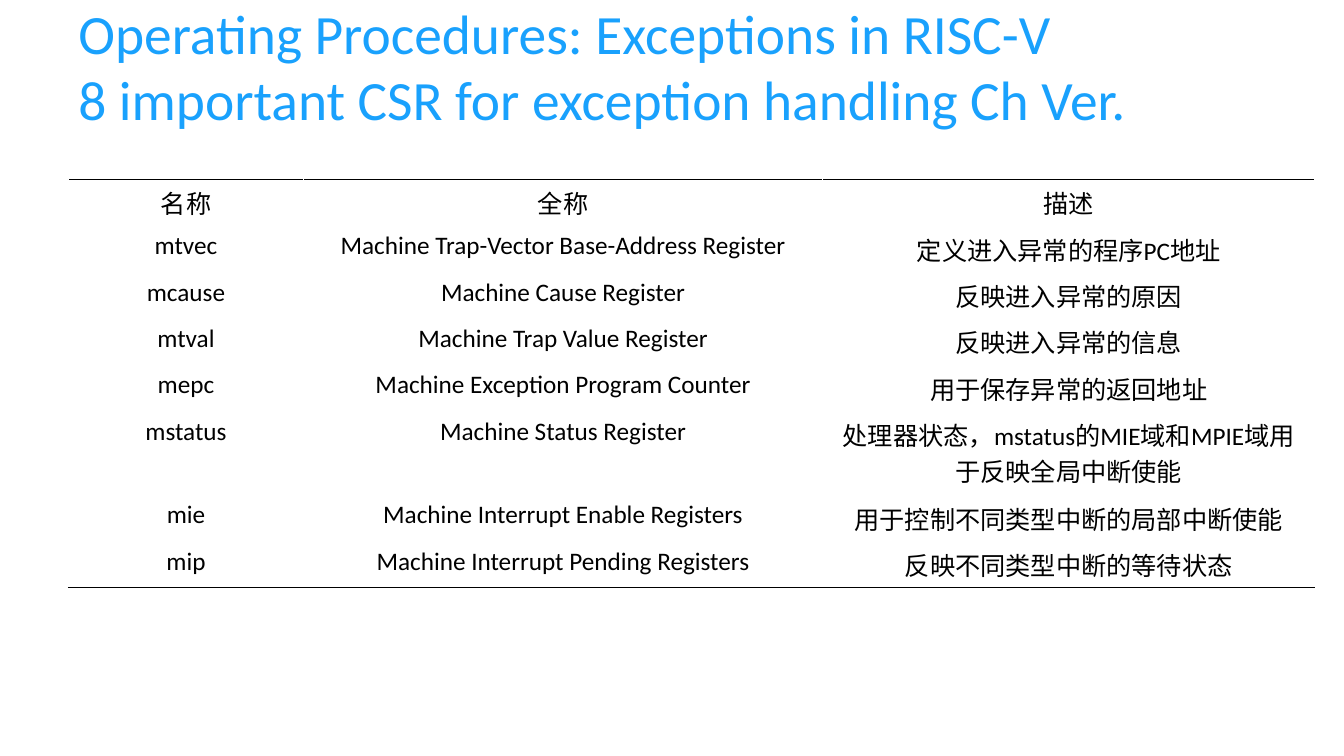
from dataclasses import dataclass

from lxml import etree
from pptx import Presentation
from pptx import util as u
from pptx.dml.color import RGBColor
from pptx.enum import text
from pptx.oxml import ns


@dataclass(frozen=True)
class Theme:
    font: str = "Calibri"
    title_color: str = "19A1FD"
    ink: str = "000000"
    paper: str = "FFFFFF"
    title_size: float = 39.6
    table_size: float = 18
    title_spacing: float = 0.99
    rule_width: float = 1
    header_rule_width: float = 3


TITLE_LINES = (
    "Operating Procedures: Exceptions in RISC-V",
    "8 important CSR for exception handling Ch Ver.",
)
REGISTERS = (
    ("名称", "全称", "描述"),
    ("mtvec", "Machine Trap-Vector Base-Address Register", "定义进入异常的程序PC地址"),
    ("mcause", "Machine Cause Register", "反映进入异常的原因"),
    ("mtval", "Machine Trap Value Register", "反映进入异常的信息"),
    ("mepc", "Machine Exception Program Counter", "用于保存异常的返回地址"),
    ("mstatus", "Machine Status Register", "处理器状态，mstatus的MIE域和MPIE域用于反映全局中断使能"),
    ("mie", "Machine Interrupt Enable Registers", "用于控制不同类型中断的局部中断使能"),
    ("mip", "Machine Interrupt Pending Registers", "反映不同类型中断的等待状态"),
)
COLUMN_WIDTHS = (2.33, 5.15, 4.88)
ROW_HEIGHT = 0.46
TWO_LINE_ROW_HEIGHT = 0.83
ROW_HEIGHTS = [
    TWO_LINE_ROW_HEIGHT if name == "mstatus" else ROW_HEIGHT
    for name, _, _ in REGISTERS
]


class SlideBuilder:
    def __init__(self, presentation, theme):
        self.theme = theme
        self.slide = presentation.slides.add_slide(presentation.slide_layouts[6])

    def set_font(self, paragraph, size, color):
        paragraph.font.name = self.theme.font
        paragraph.font.size = u.Pt(size)
        paragraph.font.color.rgb = RGBColor.from_string(color)

    def add_title(self, lines, left, top, width, height):
        box = self.slide.shapes.add_textbox(*map(u.Inches, (left, top, width, height)))
        frame = box.text_frame
        frame.word_wrap = True
        frame.vertical_anchor = text.MSO_ANCHOR.MIDDLE
        paragraph = frame.paragraphs[0]
        paragraph.line_spacing = self.theme.title_spacing
        for index, line in enumerate(lines):
            if index:
                paragraph.add_line_break()
            paragraph.add_run().text = line
        self.set_font(paragraph, self.theme.title_size, self.theme.title_color)

    def set_borders(self, cell, is_first, is_last):
        """Rule the table in ink above the first row and below the last only."""
        theme = self.theme
        borders = {
            "L": (theme.paper, theme.rule_width),
            "R": (theme.paper, theme.rule_width),
            "T": (theme.ink if is_first else theme.paper, theme.rule_width),
            "B": (theme.ink if is_last else theme.paper,
                  theme.header_rule_width if is_first else theme.rule_width),
        }
        properties = cell._tc.get_or_add_tcPr()
        for index, (side, (color, width)) in enumerate(borders.items()):
            line = etree.Element(ns.qn(f"a:ln{side}"), w=str(u.Pt(width)))
            fill = etree.SubElement(line, ns.qn("a:solidFill"))
            etree.SubElement(fill, ns.qn("a:srgbClr"), val=color)
            properties.insert(index, line)

    def add_table(self, rows, left, top, column_widths, row_heights):
        table = self.slide.shapes.add_table(
            len(rows), len(column_widths), u.Inches(left), u.Inches(top),
            u.Inches(sum(column_widths)), u.Inches(sum(row_heights)),
        ).table
        table.first_row = table.horz_banding = False
        for column, width in zip(table.columns, column_widths):
            column.width = u.Inches(width)
        for row, height in zip(table.rows, row_heights):
            row.height = u.Inches(height)
        for row_index, values in enumerate(rows):
            for column_index, value in enumerate(values):
                cell = table.cell(row_index, column_index)
                cell.text = value
                cell.fill.background()
                paragraph = cell.text_frame.paragraphs[0]
                paragraph.alignment = text.PP_ALIGN.CENTER
                self.set_font(paragraph, self.theme.table_size, self.theme.ink)
                self.set_borders(cell, row_index == 0, row_index == len(rows) - 1)


def main():
    presentation = Presentation()
    presentation.slide_width = u.Inches(13.33)
    presentation.slide_height = u.Inches(7.5)
    builder = SlideBuilder(presentation, Theme())
    builder.add_title(TITLE_LINES, 0.68, 0.15, 11.83, 1.04)
    builder.add_table(REGISTERS, 0.68, 1.78, COLUMN_WIDTHS, ROW_HEIGHTS)
    presentation.save("out.pptx")


if __name__ == "__main__":
    main()
